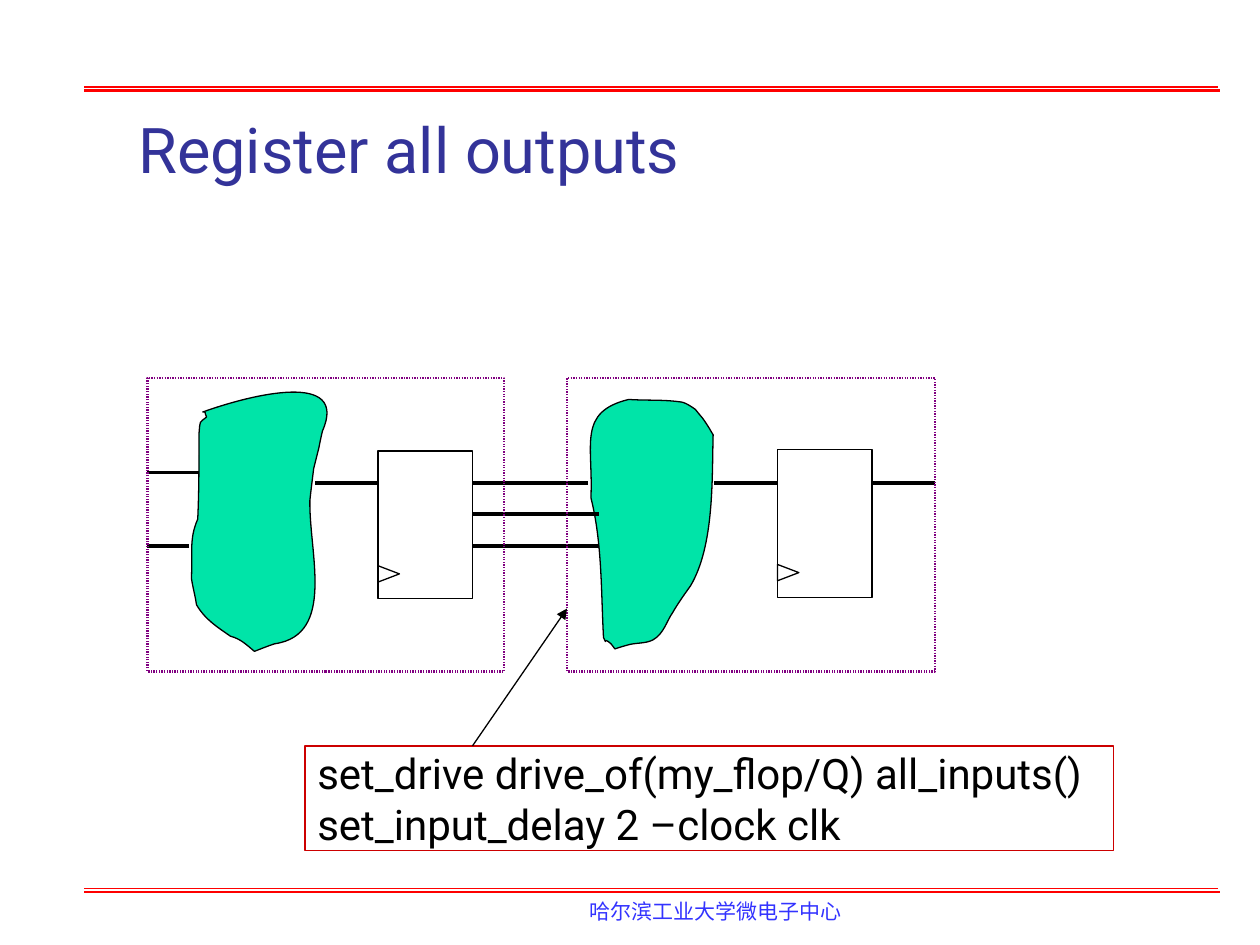
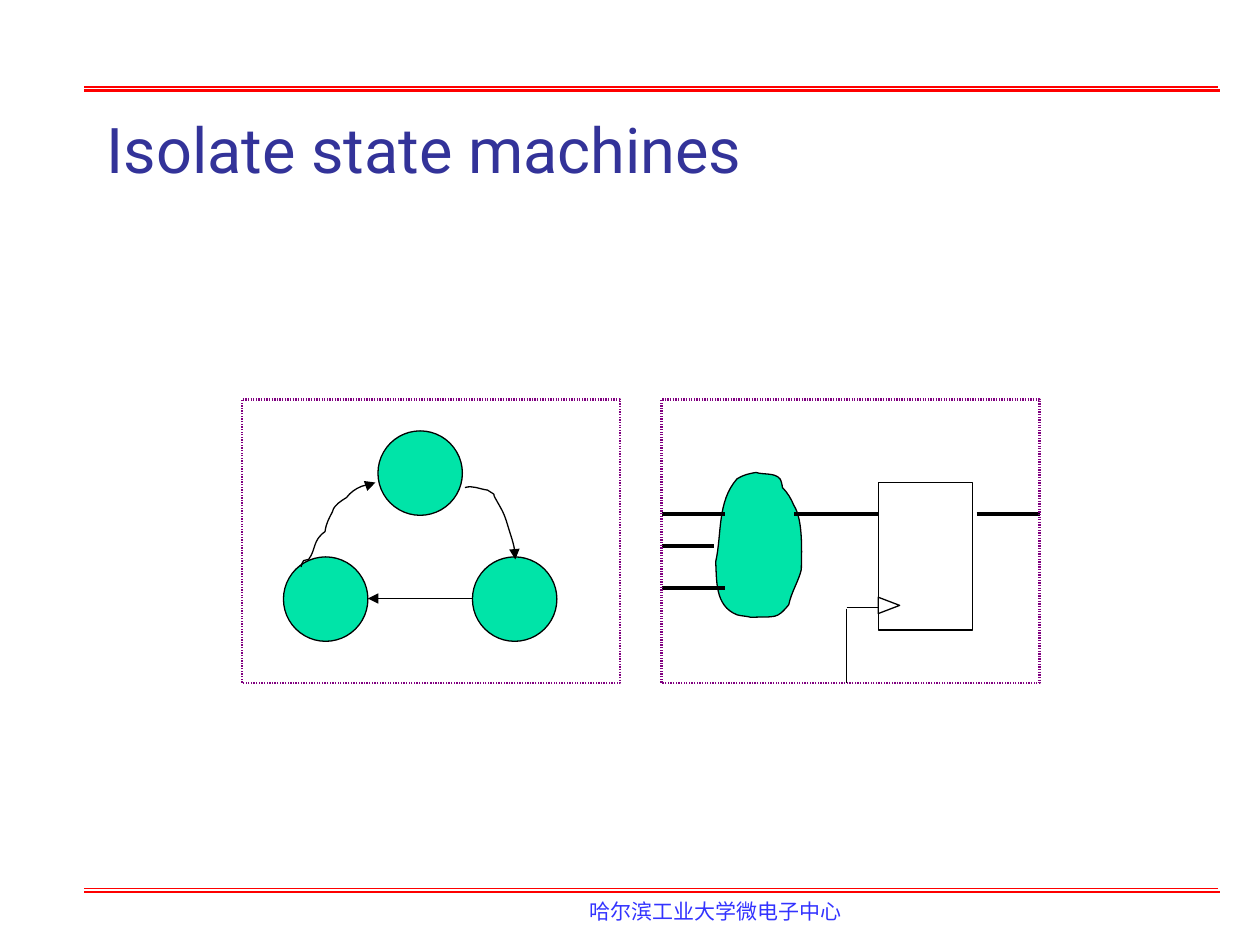
"""Build two slides on register outputs and isolated state machines."""
from lxml import etree
from pptx import Presentation
from pptx import util as u
from pptx.dml.color import RGBColor
from pptx.enum import shapes, text
from pptx.oxml.ns import qn

COLORS = {"rule": "FF0000", "title": "333399", "footer": "3333FF", "cloud": "00E4A8",
          "ink": "000000", "panel": "800080", "note": "CC0000"}
FONT, FOOTER_FONT = "Roboto", "DejaVu Sans"
FOOTER = "哈尔滨工业大学微电子中心"
RULES = [(0.69, 9.67, 0.75), (0.72, 9.68, 1.5), (7.05, 9.67, 0.75), (7.08, 9.68, 1.5)]
THIN, PANEL_LINE, WIRE = 0.75, 1.5, 2.25
FLOP_SIZE, CLOCK_SIZE, CLOCK_OFFSET = (0.75, 1.17), (0.13, 0.17), (0.02, 0.89)
STATE_SIZE = 0.67
DOT = "50000"

# Each outline is a start point followed by rows of two control points and an end point.
INPUT_CLOUD = [
    (1.61, 3.27),
    (2, 3.13, 2.77, 2.94, 2.56, 3.42), (2.55, 3.46, 2.54, 3.51, 2.53, 3.56),
    (2.53, 3.57, 2.52, 3.59, 2.52, 3.6), (2.51, 3.64, 2.49, 3.72, 2.49, 3.72),
    (2.48, 3.8, 2.47, 3.88, 2.46, 3.97), (2.45, 4.38, 2.67, 5.04, 2.18, 5.11),
    (2.12, 5.13, 2.07, 5.15, 2.02, 5.17), (1.96, 5.12, 1.91, 5.07, 1.83, 5.05),
    (1.73, 4.98, 1.63, 4.92, 1.56, 4.8), (1.55, 4.73, 1.53, 4.66, 1.52, 4.59),
    (1.53, 4.38, 1.5, 4.28, 1.57, 4.12), (1.58, 3.9, 1.58, 3.67, 1.58, 3.44),
    (1.59, 3.33, 1.58, 3.36, 1.64, 3.31), (1.62, 3.27, 1.64, 3.27, 1.61, 3.27)]
OUTPUT_CLOUD = [
    (4.79, 5.06),
    (4.77, 4.69, 4.78, 4.31, 4.69, 3.95), (4.71, 3.53, 4.58, 3.27, 4.99, 3.17),
    (5.13, 3.18, 5.26, 3.17, 5.4, 3.19), (5.44, 3.19, 5.52, 3.25, 5.52, 3.25),
    (5.59, 3.34, 5.56, 3.29, 5.63, 3.4), (5.64, 3.42, 5.66, 3.45, 5.66, 3.45),
    (5.65, 3.8, 5.67, 4.33, 5.48, 4.65), (5.43, 4.72, 5.38, 4.79, 5.34, 4.86),
    (5.29, 4.93, 5.27, 5.03, 5.18, 5.08), (5.12, 5.11, 5.04, 5.1, 4.98, 5.12),
    (4.94, 5.13, 4.88, 5.15, 4.88, 5.15), (4.87, 5.14, 4.86, 5.12, 4.85, 5.11),
    (4.77, 5.04, 4.83, 5.14, 4.79, 5.06)]
LOGIC_CLOUD = [
    (6, 3.75),
    (5.94, 3.76, 5.9, 3.77, 5.85, 3.8), (5.69, 3.98, 5.73, 4.24, 5.68, 4.46),
    (5.69, 4.6, 5.67, 4.81, 5.85, 4.88), (5.88, 4.89, 5.93, 4.89, 5.96, 4.9),
    (6.16, 4.89, 6.16, 4.92, 6.26, 4.8), (6.28, 4.7, 6.34, 4.61, 6.36, 4.52),
    (6.36, 4.42, 6.38, 4.13, 6.3, 4.01), (6.28, 3.96, 6.25, 3.91, 6.21, 3.87),
    (6.21, 3.86, 6.2, 3.81, 6.19, 3.8), (6.15, 3.75, 6.06, 3.77, 6, 3.75)]
LEFT_TO_TOP = [
    (2.39, 4.5),
    (2.4, 4.48, 2.39, 4.47, 2.41, 4.45), (2.42, 4.44, 2.44, 4.45, 2.45, 4.44),
    (2.51, 4.36, 2.48, 4.29, 2.58, 4.22), (2.59, 4.15, 2.61, 4.12, 2.64, 4.06),
    (2.65, 4.05, 2.64, 4.03, 2.66, 4.02), (2.68, 3.99, 2.75, 3.95, 2.75, 3.95),
    (2.78, 3.91, 2.82, 3.88, 2.87, 3.86), (2.9, 3.85, 2.93, 3.85, 2.95, 3.84),
    (3.02, 3.83, 3.01, 3.83, 2.98, 3.83)]
TOP_TO_RIGHT = [
    (3.69, 3.87),
    (3.75, 3.85, 3.8, 3.88, 3.87, 3.89), (3.96, 3.95, 3.89, 3.89, 3.94, 3.97),
    (3.99, 4.06, 4, 4.07, 4.03, 4.17), (4.06, 4.27, 4.09, 4.34, 4.09, 4.44)]

SLIDES = [
    {"title": "Register all outputs", "title_box": (1, 0.83, 8.5, 0.7),
     "clouds": [INPUT_CLOUD, OUTPUT_CLOUD],
     "flops": [(6.17, 3.57), (3, 3.58)],
     "panels": [(1.17, 3, 2.83, 2.33), (4.5, 3, 2.92, 2.33)],
     "wires": [(2.5, 3, 3.83), (3.75, 4.67, 3.83), (3.75, 4.75, 4.08), (3.75, 4.75, 4.33),
               (5.67, 6.17, 3.83), (1.58, 1.17, 3.75), (1.5, 1.17, 4.33), (6.92, 7.42, 3.83)],
     "note": ["set_drive drive_of(my_flop/Q) all_inputs()", "set_input_delay 2 –clock clk"],
     "note_box": (2.42, 5.92, 6.42, 0.83),
     "arrows": [(3.75, 5.92, 4.5, 4.83)]},
    {"title": "Isolate state machines", "title_box": (0.75, 0.83, 9, 0.7),
     "clouds": [LOGIC_CLOUD],
     "flops": [(6.97, 3.83)],
     "panels": [(1.92, 3.17, 3, 2.25), (5.25, 3.17, 3, 2.25)],
     "wires": [(6.3, 6.97, 4.08), (5.25, 5.75, 4.08), (7.75, 8.25, 4.08),
               (5.25, 5.67, 4.33), (5.25, 5.75, 4.67)],
     "states": [(3, 3.42), (3.75, 4.42), (2.25, 4.42)],
     "transitions": [LEFT_TO_TOP, TOP_TO_RIGHT],
     "arrows": [(3.75, 4.75, 2.92, 4.75)],
     "clock_lines": [(6.72, 4.82, 6.97, 4.82), (6.72, 4.83, 6.72, 5.42)]},
]


def rgb(name):
    return RGBColor.from_string(COLORS[name])


def style_line(sp, color, width, arrow=False):
    sp.line.color.rgb = rgb(color)
    sp.line.width = u.Pt(width)
    if arrow:
        etree.SubElement(sp.line._get_or_add_ln(), qn("a:tailEnd"), type="triangle")


def style_shape(sp, fill, color="ink", width=THIN, arrow=False):
    sp.shadow.inherit = False
    if fill:
        sp.fill.solid()
        sp.fill.fore_color.rgb = rgb(fill)
    else:
        sp.fill.background()
    style_line(sp, color, width, arrow)
    return sp


def add_line(slide, x1, y1, x2, y2, color="ink", width=THIN, arrow=False):
    ends = [u.Inches(v) for v in (x1, y1, x2, y2)]
    sp = slide.shapes.add_connector(shapes.MSO_CONNECTOR.STRAIGHT, *ends)
    style_line(sp, color, width, arrow)
    etree.SubElement(sp._element.spPr, qn("a:effectLst"))


def add_preset(slide, kind, box, fill=None, color="ink", width=THIN):
    sp = slide.shapes.add_shape(kind, *[u.Inches(v) for v in box])
    return style_shape(sp, fill, color, width)


def add_panel(slide, box):
    sp = add_preset(slide, shapes.MSO_SHAPE.RECTANGLE, box, color="panel", width=PANEL_LINE)
    dash = etree.SubElement(sp.line._get_or_add_ln(), qn("a:custDash"))
    etree.SubElement(dash, qn("a:ds"), d=DOT, sp=DOT)


def add_curve(slide, outline, fill=None, arrow=False):
    points = [(u.Inches(row[i]), u.Inches(row[i + 1]))
              for row in outline for i in range(0, len(row), 2)]
    builder = slide.shapes.build_freeform(*points[0], scale=1.0)
    builder.add_line_segments(points[1:], close=fill is not None)
    sp = builder.convert_to_shape()
    lines = list(sp._element.iter(qn("a:lnTo")))
    for i in range(0, len(lines), 3):
        curve = etree.Element(qn("a:cubicBezTo"))
        lines[i].addprevious(curve)
        for line in lines[i:i + 3]:
            curve.append(line[0])
            line.getparent().remove(line)
    style_shape(sp, fill, arrow=arrow)


def write(sp, lines, size, color, font=FONT):
    tf = sp.text_frame
    tf.word_wrap = True
    for i, line in enumerate(lines):
        p = tf.paragraphs[0] if i == 0 else tf.add_paragraph()
        p.alignment = text.PP_ALIGN.LEFT
        r = p.add_run()
        r.text = line
        r.font.size = u.Pt(size)
        r.font.name = font
        r.font.color.rgb = rgb(color)


def add_text(slide, box, line, size, color, font=FONT):
    write(slide.shapes.add_textbox(*[u.Inches(v) for v in box]), [line], size, color, font)


def add_flop(slide, x, y):
    add_preset(slide, shapes.MSO_SHAPE.RECTANGLE, (x, y, *FLOP_SIZE))
    dx, dy = CLOCK_OFFSET
    clock = add_preset(slide, shapes.MSO_SHAPE.ISOSCELES_TRIANGLE, (x + dx, y + dy, *CLOCK_SIZE))
    clock.rotation = 90


def add_frame(slide, title, title_box):
    for y, right, width in RULES:
        add_line(slide, 0.67, y, right, y, "rule", width)
    add_text(slide, (4.58, 7.08, 2.25, 0.3), FOOTER, 12, "footer", FOOTER_FONT)
    add_text(slide, title_box, title, 36, "title")


def build_slide(prs, content):
    slide = prs.slides.add_slide(prs.slide_layouts[6])
    add_frame(slide, content["title"], content["title_box"])
    for outline in content["clouds"]:
        add_curve(slide, outline, "cloud")
    for x, y in content["flops"]:
        add_flop(slide, x, y)
    for x1, x2, y in content["wires"]:
        add_line(slide, x1, y, x2, y, width=WIRE)
    for box in content["panels"]:
        add_panel(slide, box)
    for x, y in content.get("states", []):
        add_preset(slide, shapes.MSO_SHAPE.OVAL, (x, y, STATE_SIZE, STATE_SIZE), "cloud")
    for outline in content.get("transitions", []):
        add_curve(slide, outline, arrow=True)
    if "note" in content:
        sp = add_preset(slide, shapes.MSO_SHAPE.RECTANGLE, content["note_box"], color="note")
        write(sp, content["note"], 24, "ink")
    for ends in content["arrows"]:
        add_line(slide, *ends, arrow=True)
    for ends in content.get("clock_lines", []):
        add_line(slide, *ends)


def main():
    prs = Presentation()
    prs.slide_width, prs.slide_height = u.Inches(10), u.Inches(7.5)
    for content in SLIDES:
        build_slide(prs, content)
    prs.save("out.pptx")


if __name__ == "__main__":
    main()
